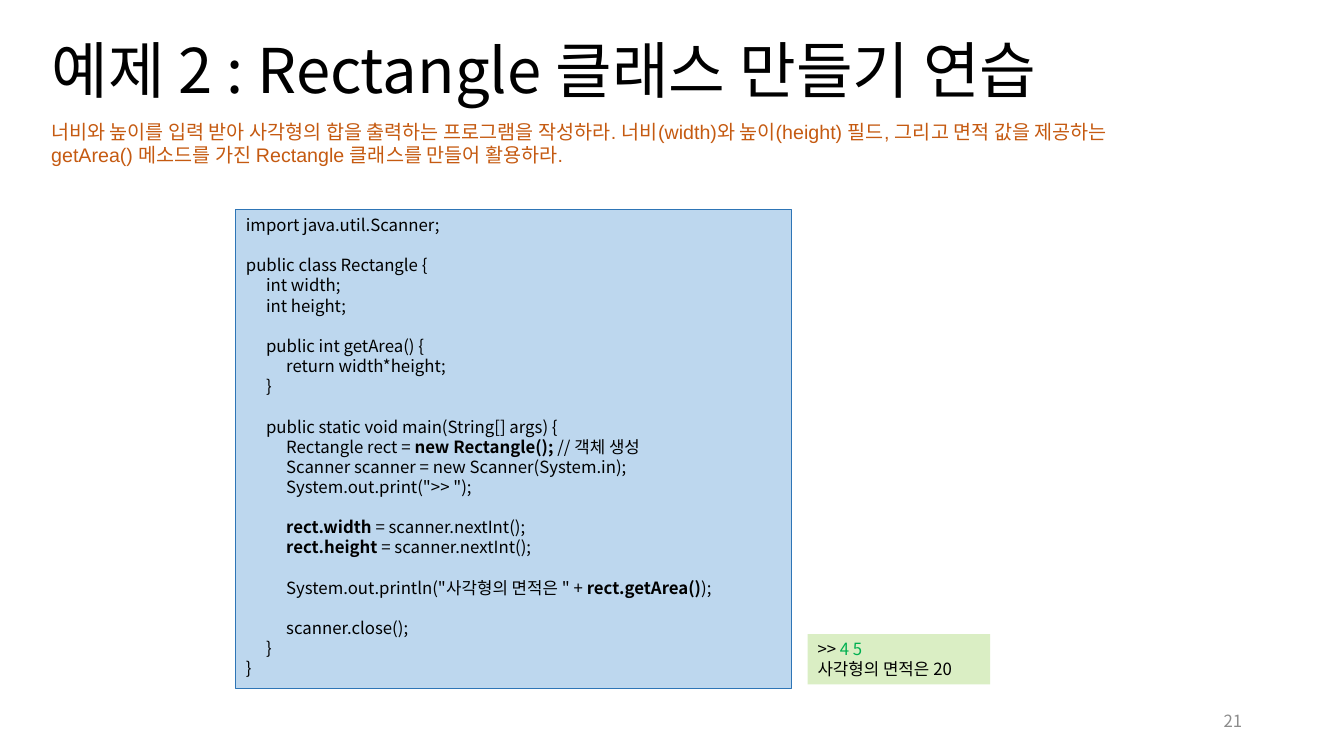
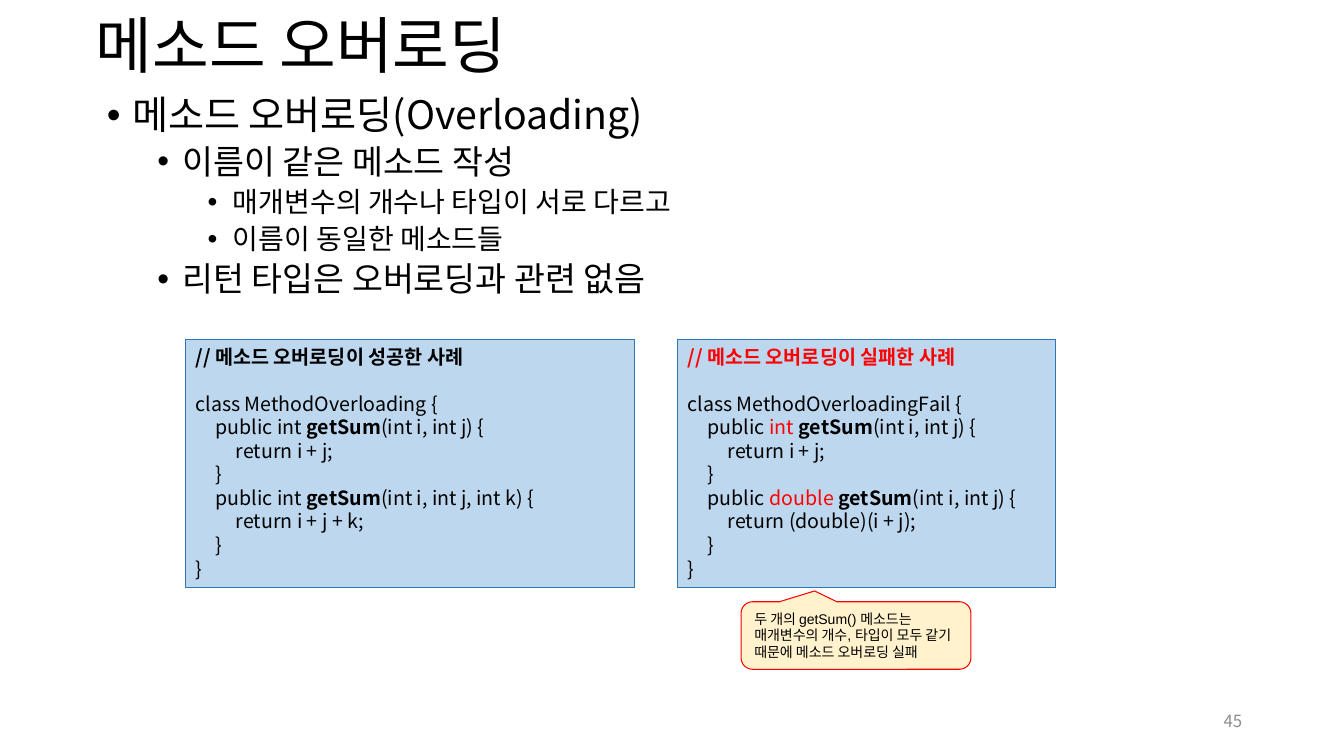
from lxml.etree import SubElement
from pptx import Presentation
from pptx.dml.color import RGBColor
from pptx.enum.shapes import MSO_SHAPE as SHAPE
from pptx.enum.text import MSO_ANCHOR as ANCHOR, MSO_AUTO_SIZE as AUTOSIZE, PP_ALIGN as ALIGN
from pptx.oxml.ns import qn
from pptx.util import Inches, Pt

FONT = "Noto Sans CJK KR"
BLACK, RED, GREEN, GRAY, ORANGE = "000000", "FF0000", "00B050", "8C8C8C", "C55A11"
CODE_FILL, CODE_LINE, OUTPUT_FILL, NOTE_FILL = "BDD7EE", "2E75B6", "DAEEC4", "FFF2CC"
rgb = RGBColor.from_string


def write(tf, lines, size, color=BLACK, font=FONT, align=ALIGN.LEFT, anchor=ANCHOR.TOP):
    """Fill a frame; a line is a string or a list of strings and (text, bold, color) parts."""
    tf.word_wrap = True
    tf.auto_size = AUTOSIZE.NONE
    tf.vertical_anchor = anchor
    for i, line in enumerate(lines):
        p = tf.paragraphs[0] if i == 0 else tf.add_paragraph()
        p.alignment = align
        parts = [line] if isinstance(line, str) else line
        parts = [(part, False, color) if isinstance(part, str) else part for part in parts]
        if parts[0][0].startswith("\t"):
            tabs = SubElement(p._p.get_or_add_pPr(), qn("a:tabLst"))
            for stop in (0.2, 0.4):
                SubElement(tabs, qn("a:tab"), pos=str(Inches(stop)), algn="l")
        for text, bold, run_color in parts:
            if not text:
                SubElement(p._p, qn("a:endParaRPr"), sz=str(size * 100))
                continue
            r = p.add_run()
            r.text = text
            r.font.size = Pt(size)
            r.font.bold = bold
            r.font.name = font
            r.font.color.rgb = rgb(run_color)
            SubElement(r._r.get_or_add_rPr(), qn("a:ea"), typeface=FONT)


def add_box(s, at, lines, size, fill=None, line=None, kind=SHAPE.RECTANGLE, **style):
    """Add a text box, or a filled shape when a fill is given."""
    at = [Inches(v) for v in at]
    if fill is None:
        sp = s.shapes.add_textbox(*at)
    else:
        sp = s.shapes.add_shape(kind, *at)
        sp.shadow.inherit = False
        sp.fill.solid()
        sp.fill.fore_color.rgb = rgb(fill)
        if line:
            sp.line.color.rgb = rgb(line)
            sp.line.width = Pt(0.75)
        else:
            sp.line.fill.background()
    write(sp.text_frame, lines, size, **style)
    return sp


prs = Presentation()
prs.slide_width, prs.slide_height = Inches(13.33), Inches(7.5)

# Titles and page numbers
CONTENT_LAYOUT, TITLE_ONLY_LAYOUT = prs.slide_layouts[1], prs.slide_layouts[5]
slides = []
for layout, title, title_at, number in [
    (TITLE_ONLY_LAYOUT, "예제 2 : Rectangle 클래스 만들기 연습", (0.41, 0, 12.8, 1.45), "21"),
    (CONTENT_LAYOUT, "메소드 오버로딩", (0.85, 0, 11.5, 0.97), "45"),
]:
    s = prs.slides.add_slide(layout)
    sp = s.shapes.title
    sp.left, sp.top, sp.width, sp.height = [Inches(v) for v in title_at]
    write(sp.text_frame, [title], 44, anchor=ANCHOR.MIDDLE)
    sp.text_frame.paragraphs[0].line_spacing = 0.9
    add_box(s, (9.42, 6.95, 3, 0.4), [number], 12, color=GRAY,
            align=ALIGN.RIGHT, anchor=ANCHOR.MIDDLE)
    slides.append(s)
example, overloading = slides

# Rectangle class example
task = ("너비와 높이를 입력 받아 사각형의 합을 출력하는 프로그램을 작성하라. "
        "너비(width)와 높이(height) 필드, 그리고 면적 값을 제공하는 getArea() 메소드를 가진 "
        "Rectangle 클래스를 만들어 활용하라.")
add_box(example, (0.41, 1.14, 11.04, 0.57), [task], 14, color=ORANGE, font="Arial")

rectangle_code = [
    "import java.util.Scanner;",
    "",
    "public class Rectangle {",
    "\tint width;",
    "\tint height;",
    "",
    "\tpublic int getArea() {",
    "\t\treturn width*height;",
    "\t}",
    "",
    "\tpublic static void main(String[] args) {",
    ["\t\tRectangle rect = ", ("new Rectangle();", True, BLACK), " // 객체 생성"],
    "\t\tScanner scanner = new Scanner(System.in);",
    "\t\tSystem.out.print(\">> \");",
    "",
    ["\t\t", ("rect.width", True, BLACK), " = scanner.nextInt();"],
    ["\t\t", ("rect.height", True, BLACK), " = scanner.nextInt();"],
    "",
    ["\t\tSystem.out.println(\"사각형의 면적은 \" + ", ("rect.getArea()", True, BLACK), ");"],
    "",
    "\t\tscanner.close();",
    "\t}",
    "}",
]
add_box(example, (2.34, 2.08, 5.51, 4.75), rectangle_code, 12, CODE_FILL, CODE_LINE)
add_box(example, (8.01, 6.29, 1.81, 0.5),
        [[">> ", ("4 5", False, GREEN)], "사각형의 면적은 20"], 12, OUTPUT_FILL)

# Method overloading
bullets = [
    (0, "메소드 오버로딩(Overloading)"),
    (1, "이름이 같은 메소드 작성"),
    (2, "매개변수의 개수나 타입이 서로 다르고"),
    (2, "이름이 동일한 메소드들"),
    (1, "리턴 타입은 오버로딩과 관련 없음"),
]
body = overloading.placeholders[1]
body.left, body.top, body.width, body.height = [Inches(v) for v in (0.96, 0.9, 8.92, 2.58)]
tf = body.text_frame
write(tf, [text for level, text in bullets], 28)
for i, (p, (level, text)) in enumerate(zip(tf.paragraphs, bullets)):
    p.level = level
    p.line_spacing = 0.9
    p.space_before = Pt(5 if i else 0)
    p.runs[0].font.size = Pt(28 - 4 * level)
    pPr = p._p.get_or_add_pPr()
    pPr.set("marL", str(Inches(0.25 + 0.5 * level)))
    pPr.set("indent", str(Inches(-0.25)))
    SubElement(pPr, qn("a:buFont"), typeface="Arial")
    SubElement(pPr, qn("a:buChar"), char="•")

get_sum = ("getSum", True, BLACK)
success_code = [
    [("// 메소드 오버로딩이 성공한 사례", True, BLACK)],
    "",
    "class MethodOverloading {",
    ["\tpublic int ", get_sum, "(int i, int j) {"],
    "\t\treturn i + j;",
    "\t}",
    ["\tpublic int ", get_sum, "(int i, int j, int k) {"],
    "\t\treturn i + j + k;",
    "\t}",
    "}",
]
fail_code = [
    [("// 메소드 오버로딩이 실패한 사례", True, RED)],
    "",
    "class MethodOverloadingFail {",
    ["\tpublic ", ("int ", False, RED), get_sum, "(int i, int j) {"],
    "\t\treturn i + j;",
    "\t}",
    ["\tpublic ", ("double ", False, RED), get_sum, "(int i, int j) {"],
    "\t\treturn (double)(i + j);",
    "\t}",
    "}",
]
for left, width, code in [(1.84, 4.45, success_code), (6.72, 3.75, fail_code)]:
    add_box(overloading, (left, 3.37, width, 2.46), code, 14, CODE_FILL, CODE_LINE)

reason = "두 개의 getSum() 메소드는 매개변수의 개수, 타입이 모두 같기 때문에 메소드 오버로딩 실패"
callout = add_box(overloading, (7.35, 5.97, 2.28, 0.67), [reason], 10, NOTE_FILL, RED,
                  SHAPE.ROUNDED_RECTANGULAR_CALLOUT, font="Arial")
for i, value in enumerate((-0.18, -0.66, 0.17)):
    callout.adjustments[i] = value

prs.save("out.pptx")
